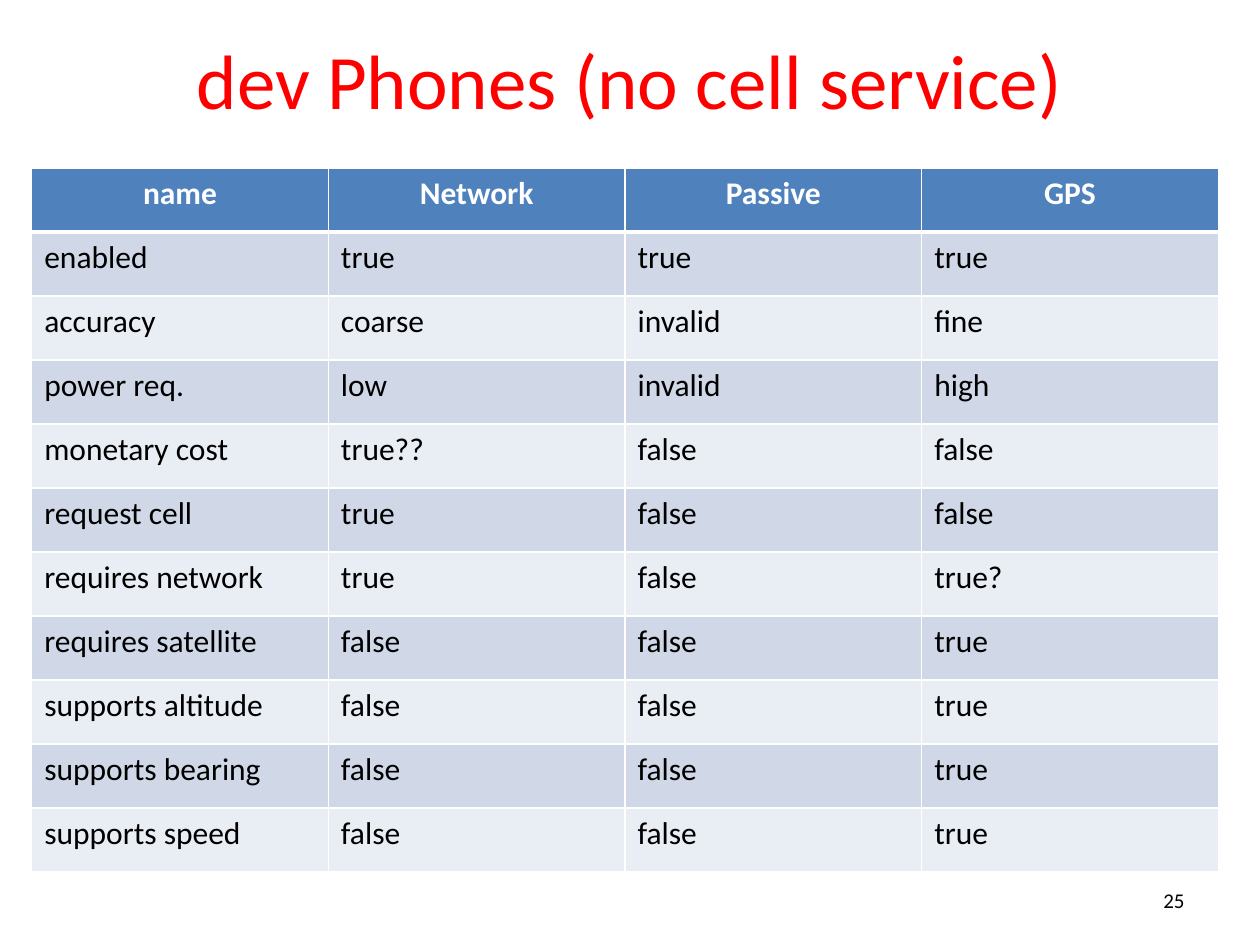
from dataclasses import dataclass

from lxml import etree
from pptx import Presentation
from pptx.dml.color import RGBColor
from pptx.enum.text import MSO_ANCHOR, PP_ALIGN
from pptx.oxml.ns import qn
from pptx.util import Cm, Pt

LEFT, CENTER, RIGHT = PP_ALIGN.LEFT, PP_ALIGN.CENTER, PP_ALIGN.RIGHT
MIDDLE = MSO_ANCHOR.MIDDLE
FONT = "Calibri"
COLORS = {
    "title": "FF0000",
    "text": "000000",
    "white": "FFFFFF",
    "header": "4F81BD",
    "odd": "D0D8E8",
    "even": "E9EDF4",
}
TABLE_LEFT, TABLE_TOP = 0.64, 3.39
COLUMN_WIDTH, ROW_HEIGHT = 5.98, 1.29
PROVIDERS = [
    ("name", "Network", "Passive", "GPS"),
    ("enabled", "true", "true", "true"),
    ("accuracy", "coarse", "invalid", "fine"),
    ("power req.", "low", "invalid", "high"),
    ("monetary cost", "true??", "false", "false"),
    ("request cell", "true", "false", "false"),
    ("requires network", "true", "false", "true?"),
    ("requires satellite", "false", "false", "true"),
    ("supports altitude", "false", "false", "true"),
    ("supports bearing", "false", "false", "true"),
    ("supports speed", "false", "false", "true"),
]


@dataclass(frozen=True)
class Label:
    text: str
    left: float
    top: float
    width: float
    height: float
    size: int
    color: str
    alignment: PP_ALIGN


LABELS = [
    Label("dev Phones (no cell service)", 1.27, 0, 22.86, 3.18, 44, "title", CENTER),
    Label("25", 18.2, 17.65, 5.93, 1.01, 12, "text", RIGHT),
]


def write_text(text_frame, text: str, size: int, color: str,
               alignment: PP_ALIGN, bold: bool = False) -> None:
    paragraph = text_frame.paragraphs[0]
    paragraph.text = text
    paragraph.alignment = alignment
    paragraph.font.name = FONT
    paragraph.font.size = Pt(size)
    paragraph.font.bold = bold
    paragraph.font.color.rgb = RGBColor.from_string(COLORS[color])


def add_label(slide, label: Label) -> None:
    shape = slide.shapes.add_textbox(
        Cm(label.left), Cm(label.top), Cm(label.width), Cm(label.height))
    shape.text_frame.word_wrap = True
    shape.text_frame.vertical_anchor = MIDDLE
    write_text(shape.text_frame, label.text, label.size, label.color, label.alignment)


def set_borders(cell, widths: dict[str, int]) -> None:
    properties = cell._tc.get_or_add_tcPr()
    for side, width in widths.items():
        line = etree.SubElement(properties, qn(f"a:ln{side}"), w=str(Pt(width)))
        fill = etree.SubElement(line, qn("a:solidFill"))
        etree.SubElement(fill, qn("a:srgbClr"), val=COLORS["white"])


def add_provider_table(slide) -> None:
    row_count, column_count = len(PROVIDERS), len(PROVIDERS[0])
    table = slide.shapes.add_table(
        row_count, column_count, Cm(TABLE_LEFT), Cm(TABLE_TOP),
        Cm(COLUMN_WIDTH * column_count), Cm(ROW_HEIGHT * row_count)).table
    for column in table.columns:
        column.width = Cm(COLUMN_WIDTH)
    for row_index, values in enumerate(PROVIDERS):
        table.rows[row_index].height = Cm(ROW_HEIGHT)
        is_header = row_index == 0
        fill_name = "header" if is_header else "odd" if row_index % 2 else "even"
        widths = {"L": 1, "R": 1, "T": 3 if row_index == 1 else 1,
                  "B": 3 if is_header else 1}
        for column_index, value in enumerate(values):
            cell = table.cell(row_index, column_index)
            set_borders(cell, widths)
            cell.fill.solid()
            cell.fill.fore_color.rgb = RGBColor.from_string(COLORS[fill_name])
            write_text(cell.text_frame, value, 18, "white" if is_header else "text",
                       CENTER if is_header else LEFT, is_header)


def main() -> None:
    presentation = Presentation()
    presentation.slide_width, presentation.slide_height = Cm(25.4), Cm(19.05)
    slide = presentation.slides.add_slide(presentation.slide_layouts[6])
    for label in LABELS:
        add_label(slide, label)
    add_provider_table(slide)
    presentation.save("out.pptx")


main()
